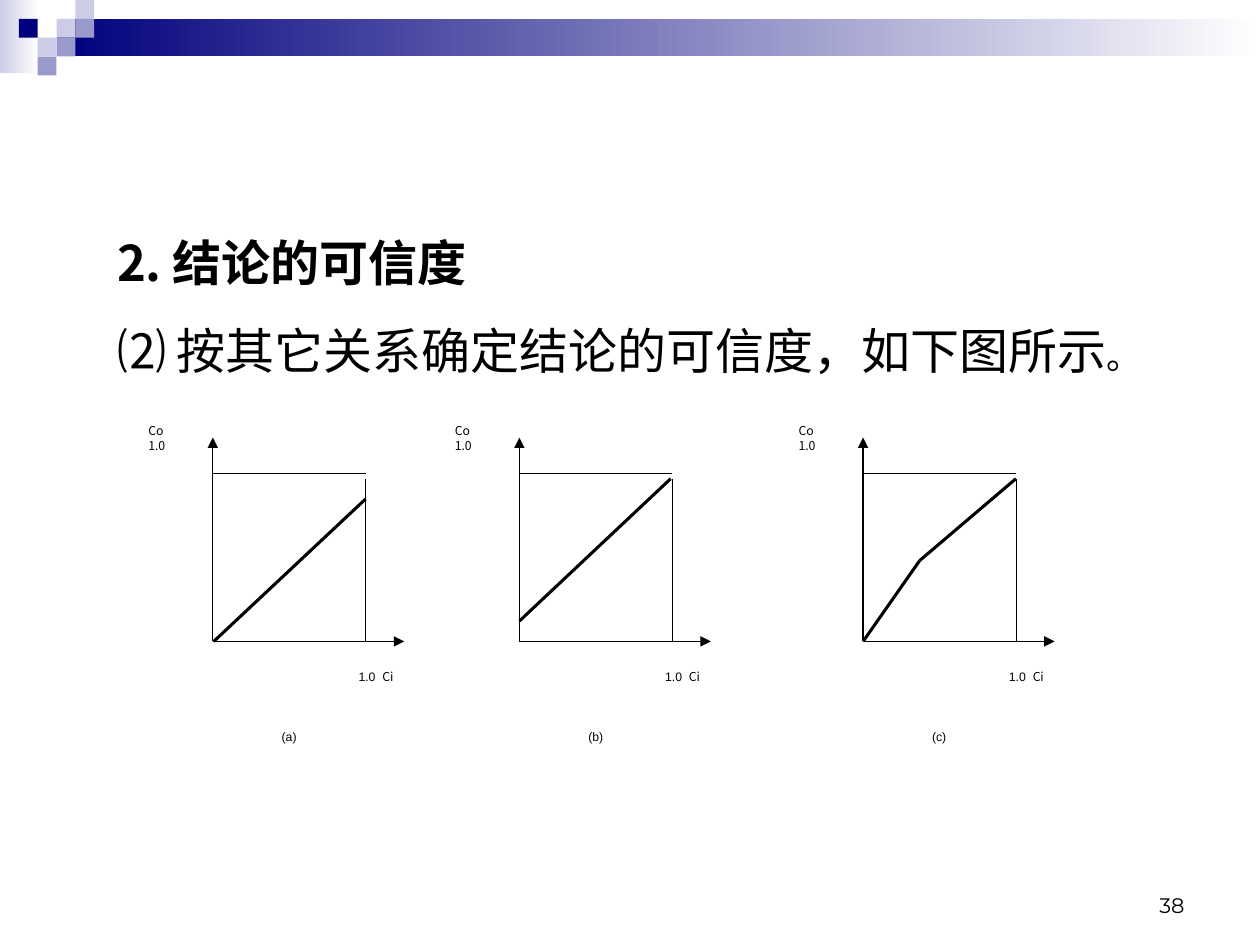
from lxml import etree
from pptx import Presentation
from pptx.dml.color import RGBColor
from pptx.enum import shapes, text
from pptx.oxml.ns import qn
from pptx.util import Cm, Pt

NAVY = RGBColor(0x00, 0x00, 0x7D)
VIOLET = RGBColor(0x99, 0x99, 0xCC)
LILAC = RGBColor(0xCC, 0xCC, 0xE6)
WHITE = RGBColor(0xFF, 0xFF, 0xFF)
BLACK = RGBColor(0x00, 0x00, 0x00)
ARIAL, CJK, NUMBER = "Arial", "Noto Sans CJK SC", "Montserrat"


class SlideBuilder:
    """Holds the slide and draws each kind of element in its style."""

    def __init__(self, s):
        self.s = s

    def rect(self, x, y, w, h, *colors):
        sp = self.s.shapes.add_shape(
            shapes.MSO_SHAPE.RECTANGLE, Cm(x), Cm(y), Cm(w), Cm(h))
        sp.shadow.inherit = False
        sp.line.fill.background()
        if len(colors) == 1:
            sp.fill.solid()
            sp.fill.fore_color.rgb = colors[0]
        else:
            sp.fill.gradient()
            sp.fill.gradient_angle = 0
            for stop, color in zip(sp.fill.gradient_stops, colors):
                stop.color.rgb = color
        return sp

    def text(self, x, y, w, h, paragraphs, align=text.PP_ALIGN.LEFT,
             anchor=text.MSO_ANCHOR.TOP, spacing=None, hanging=0, tab=None):
        """Each paragraph is a list of runs: (text, font, size, bold)."""
        sp = self.s.shapes.add_textbox(Cm(x), Cm(y), Cm(w), Cm(h))
        tf = sp.text_frame
        tf.word_wrap = True
        tf.vertical_anchor = anchor
        for i, runs in enumerate(paragraphs):
            p = tf.paragraphs[0] if i == 0 else tf.add_paragraph()
            p.alignment = align
            p.line_spacing = spacing
            pPr = p._p.get_or_add_pPr()
            if hanging:
                pPr.set("marL", str(Cm(hanging)))
                pPr.set("indent", str(-Cm(hanging)))
            if tab:
                tabs = etree.SubElement(pPr, qn("a:tabLst"))
                etree.SubElement(tabs, qn("a:tab"), pos=str(Cm(tab)), algn="l")
            for words, font, size, bold in runs:
                r = p.add_run()
                r.text = words
                r.font.name, r.font.size, r.font.bold = font, Pt(size), bold
                r.font.color.rgb = BLACK
                etree.SubElement(r._r.get_or_add_rPr(), qn("a:ea"), typeface=CJK)

    def line(self, start, end, width, arrow=False):
        c = self.s.shapes.add_connector(
            shapes.MSO_CONNECTOR.STRAIGHT, *map(Cm, (*start, *end)))
        c.line.color.rgb = BLACK
        c.line.width = Pt(width)
        if arrow:
            etree.SubElement(c.line._get_or_add_ln(), qn("a:tailEnd"), type="triangle")
        etree.SubElement(c._element.spPr, qn("a:effectLst"))

    def graph(self, x, caption, curve):
        """Draw one Co-Ci graph; curve points are offsets from the origin."""
        y = 12.93
        # Axes and guides
        self.line((x, y), (x + 3.86, y), 0.75, arrow=True)
        self.line((x, y), (x, y - 4.11), 0.75, arrow=True)
        self.line((x, y - 3.4), (x + 3.08, y - 3.4), 0.25)
        self.line((x + 3.08, y - 3.28), (x + 3.08, y), 0.25)
        # Curve
        points = [(x + dx, y - dy) for dx, dy in curve]
        for start, end in zip(points, points[1:]):
            self.line(start, end, 1.75)
        # Labels
        self.text(x - 1.55, 8.41, 1.14, 2.06,
                  [[("Co", CJK, 7, False)], [("1.0", CJK, 7, False)]])
        self.text(x + 2.69, 13.36, 1.93, 1.22,
                  [[("1.0\t", ARIAL, 7, False), ("Ci", CJK, 7, False)]], tab=0.48)
        self.text(x + 1.14, 14.58, 1.17, 1.24, [[(caption, ARIAL, 7, False)]])


def main():
    prs = Presentation()
    prs.slide_width, prs.slide_height = Cm(25.4), Cm(19.05)
    b = SlideBuilder(prs.slides.add_slide(prs.slide_layouts[6]))

    # Header band and checker squares
    b.rect(0, 0, 0.79, 1.47, LILAC, WHITE)
    b.rect(1.14, 0.38, 24.26, 0.76, NAVY, WHITE)
    side = 0.38
    for col, row, color in [(3, 1, LILAC), (4, 0, LILAC), (4, 1, VIOLET), (2, 2, LILAC),
                            (1, 1, NAVY), (3, 2, VIOLET), (2, 3, VIOLET)]:
        b.rect(col * side, row * side, side, side, color)

    # Slide number
    b.text(18.21, 17.35, 5.92, 1.27, [[("38", NUMBER, 12, False)]],
           align=text.PP_ALIGN.RIGHT, anchor=text.MSO_ANCHOR.BOTTOM)

    # Heading and statement
    b.text(2.11, 3.96, 21.39, 11.43, [
        [("2. 结论的可信度", CJK, 28, True)],
        [("⑵ 按其它关系确定结论的可信度，如下图所示", ARIAL, 28, False),
         ("。", ARIAL, 20, False)],
    ], spacing=1.5, hanging=0.97)

    # Graphs
    b.graph(4.29, "(a)", [(0.02, 0), (3.08, 2.87)])
    b.graph(10.47, "(b)", [(0, 0.41), (3.05, 3.28)])
    b.graph(17.4, "(c)", [(0, 0), (1.14, 1.63), (3.08, 3.28)])

    prs.save("out.pptx")


if __name__ == "__main__":
    main()
